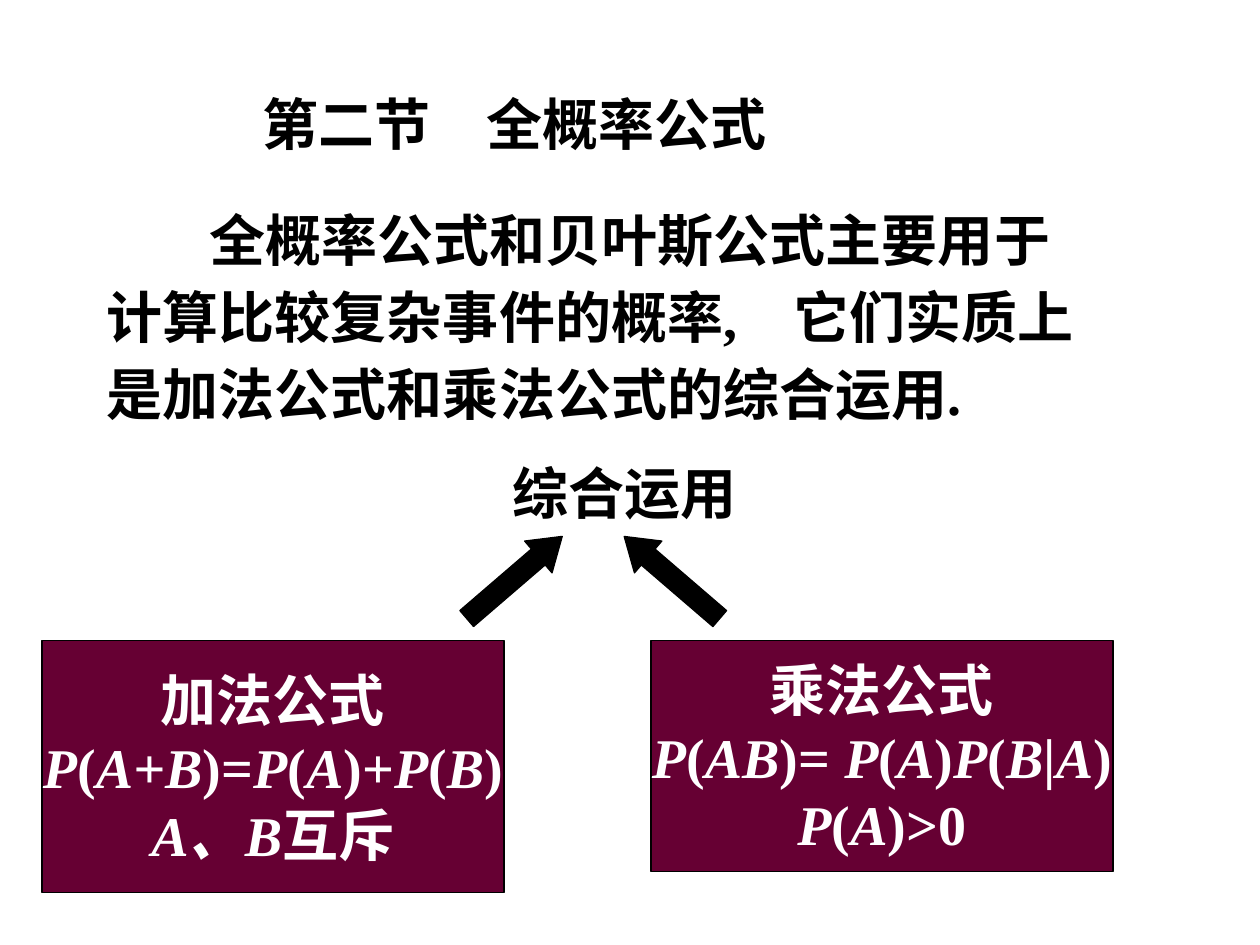
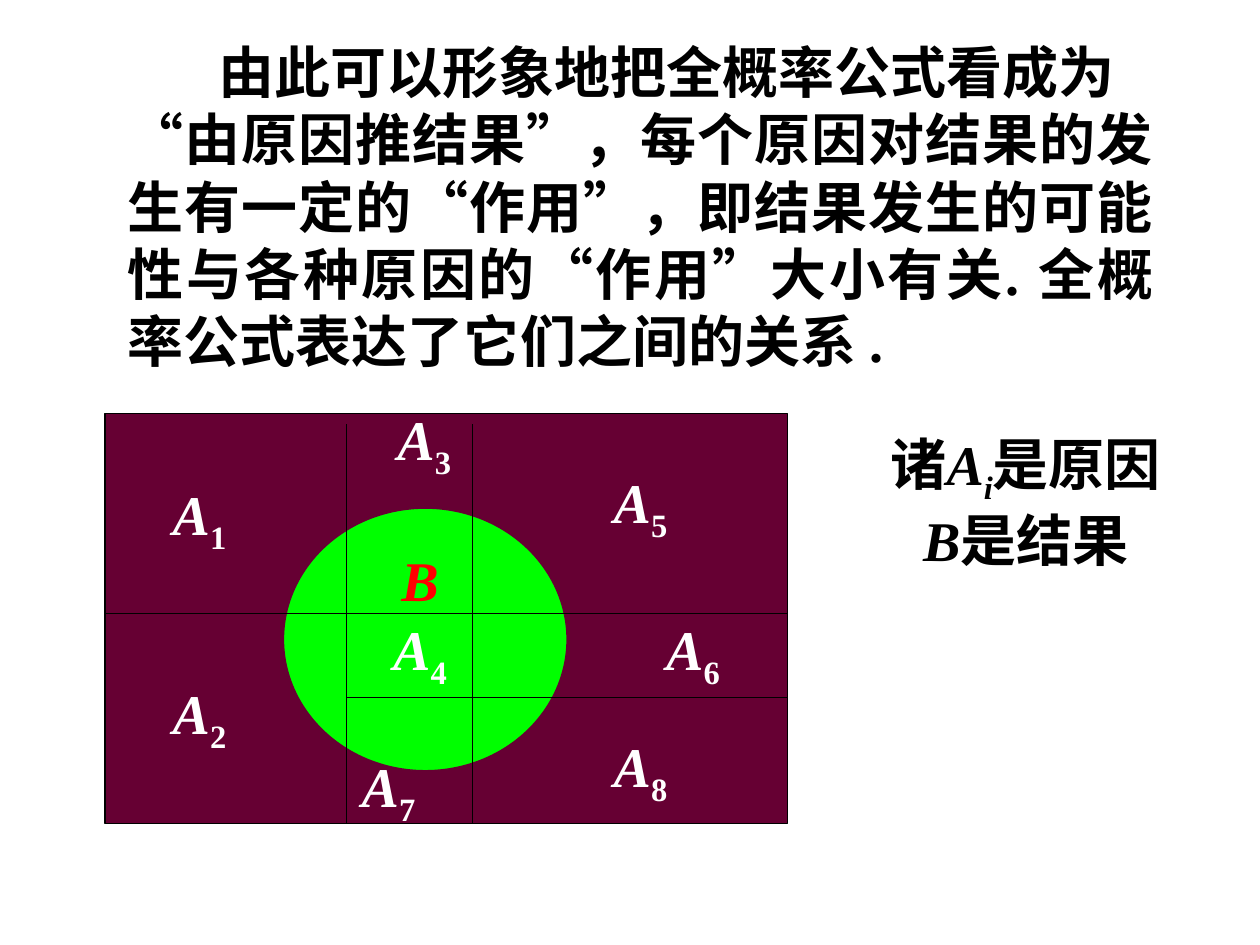
from dataclasses import dataclass

from lxml import etree
from pptx import Presentation
from pptx.dml.color import RGBColor
from pptx.enum.shapes import MSO_CONNECTOR, MSO_SHAPE
from pptx.enum.text import MSO_ANCHOR, PP_ALIGN
from pptx.oxml.ns import qn
from pptx.util import Inches, Pt

RECT, OVAL, ARROW = MSO_SHAPE.RECTANGLE, MSO_SHAPE.OVAL, MSO_SHAPE.RIGHT_ARROW
LINE = MSO_CONNECTOR.STRAIGHT
LEFT, MID, FULL = PP_ALIGN.LEFT, PP_ALIGN.CENTER, PP_ALIGN.JUSTIFY
TOP, CENTER = MSO_ANCHOR.TOP, MSO_ANCHOR.MIDDLE
COLS, ROWS = 120, 90


@dataclass(frozen=True)
class Theme:
    """Colours, font and sizes that the slides share."""
    ink: str = "000000"
    paper: str = "FFFFFF"
    wine: str = "660033"
    green: str = "00FF00"
    red: str = "FF0000"
    face: str = "Times New Roman"
    size: float = 32
    rule: float = 0.75
    lead: float = 1.15
    sub: str = "-25000"


def adorn(item, style):
    """Set each attribute named in a dict."""
    for name, value in style.items():
        setattr(item, name, value)


class Deck:
    """Draws elements on the current slide, in grid columns and rows."""

    def __init__(self, theme):
        """Open an empty deck."""
        self.theme = theme
        self.show = Presentation()
        adorn(self.show, {"slide_width": Inches(10), "slide_height": Inches(7.5)})
        self.slide = None

    def page(self):
        """Add a blank slide."""
        self.slide = self.show.slides.add_slide(self.show.slide_layouts[6])

    def grid(self, *cells):
        """Turn column and row pairs into lengths."""
        units = self.show.slide_width / COLS, self.show.slide_height / ROWS
        return [round(cell * units[i % 2]) for i, cell in enumerate(cells)]

    def stroke(self, line, color):
        """Colour a thin line."""
        line.color.rgb = RGBColor.from_string(color)
        line.width = Pt(self.theme.rule)

    def words(self, frame, lines, color, para, **style):
        """Fill a frame; slashes toggle italics and an underscore lowers a run."""
        adorn(frame, style)
        for i, line in enumerate(lines):
            item = frame.paragraphs[0] if i == 0 else frame.add_paragraph()
            adorn(item, para)
            for j, part in enumerate(line.split("/")):
                if part:
                    run = item.add_run()
                    run.text = part.removeprefix("_")
                    adorn(run.font, {"name": self.theme.face, "bold": True,
                                     "size": Pt(self.theme.size), "italic": j % 2 == 1})
                    run.font.color.rgb = RGBColor.from_string(color)
                    if part.startswith("_"):
                        run.font._element.set("baseline", self.theme.sub)

    def text(self, cells, lines, color=None, align=MID, lead=1.0, indent=0,
             anchor=CENTER, wrap=True):
        """Add a text box, with an optional first line indent in columns."""
        box = self.slide.shapes.add_textbox(*self.grid(*cells))
        self.words(box.text_frame, lines, color or self.theme.ink,
                   {"alignment": align, "line_spacing": lead},
                   word_wrap=wrap, vertical_anchor=anchor)
        if indent:
            first = box.text_frame.paragraphs[0]._p.get_or_add_pPr()
            first.set("indent", str(self.grid(indent)[0]))

    def label(self, x, y, line, color):
        """Centre a short label on a point."""
        self.text((x - 4, y - 4, 8, 8), [line], color, wrap=False)

    def shape(self, kind, cells, fill, edge=None, lines=(), turn=0, bends=()):
        """Add a filled shape."""
        item = self.slide.shapes.add_shape(kind, *self.grid(*cells))
        item.shadow.inherit = False
        item.rotation = turn
        item.fill.solid()
        item.fill.fore_color.rgb = RGBColor.from_string(fill)
        self.stroke(item.line, edge or self.theme.ink)
        for i, bend in enumerate(bends):
            item.adjustments[i] = bend
        if lines:
            self.words(item.text_frame, lines, self.theme.paper, {"alignment": MID},
                       word_wrap=False, vertical_anchor=CENTER)

    def line(self, *ends):
        """Draw a straight line."""
        item = self.slide.shapes.add_connector(LINE, *self.grid(*ends))
        self.stroke(item.line, self.theme.ink)
        etree.SubElement(item._element.spPr, qn("a:effectLst"))


def intro(deck):
    """Show the two rules behind the formula."""
    theme = deck.theme
    deck.page()
    lead = {"align": LEFT, "lead": theme.lead, "indent": 9.8, "anchor": TOP}
    deck.text((14, 7, 97, 8.6), ["第二节　全概率公式"], **lead)
    deck.text((9, 18, 97, 23.3),
              ["全概率公式和贝叶斯公式主要用于计算比较复杂事件的概率,　"
               "它们实质上是加法公式和乘法公式的综合运用."], **lead)
    deck.text((43, 43, 33, 7.7), ["综合运用"])
    rules = [
        (4, 24, ["加法公式", "/P/(/A+B/)=/P/(/A/)+/P/(/B/)", "/A、B/互斥"]),
        (62, 22, ["乘法公式", "/P/(/AB/)= /P/(/A/)/P/(/B/|/A/)", "/P/(/A/)>0"]),
    ]
    for x, tall, lines in rules:
        deck.shape(RECT, (x, 61, 44, tall), theme.wine, lines=lines)
    for x, turn in ((43, 319.3), (58, 220.7)):
        deck.shape(ARROW, (x, 53, 12, 4), theme.ink, turn=turn, bends=(0.5, 0.75))


def cause(deck):
    """Show the causes that split the result."""
    theme = deck.theme
    deck.page()
    deck.text((11, 3, 100, 33.2),
              ["由此可以形象地把全概率公式看成为",
               "“由原因推结果”，每个原因对结果的发生有一定的“作用”，"
               "即结果发生的可能性与各种原因的“作用”大小有关. "
               "全概率公式表达了它们之间的关系 ."],
              align=FULL, indent=8.6)
    left, top, wide, tall = 10, 39.4, 65, 39
    right, base = left + wide, top + tall
    deck.shape(RECT, (left, top, wide, tall), theme.wine)
    deck.shape(OVAL, (27, 48.4, 27, 25), theme.green, theme.wine)
    for x in (33, 45):
        deck.line(x, top + 1, x, base)
    for x, y in ((left, 58.4), (33, 66.4)):
        deck.line(x, y, right, y)
    spots = [(19, 49.3), (19, 68.3), (40.4, 42.2), (40, 62.2),
             (61, 48.2), (66, 62.2), (37, 75.2), (61, 73.3)]
    for i, (x, y) in enumerate(spots, 1):
        deck.label(x, y, f"/A/_{i}", theme.paper)
    deck.label(40, 55.2, "/B/", theme.red)
    deck.text((80.2, 40.3, 35, 14.9), ["诸/A//_i/是原因", "/B/是结果"])


def main():
    """Build and save the deck."""
    deck = Deck(Theme())
    intro(deck)
    cause(deck)
    deck.show.save("out.pptx")


if __name__ == "__main__":
    main()
